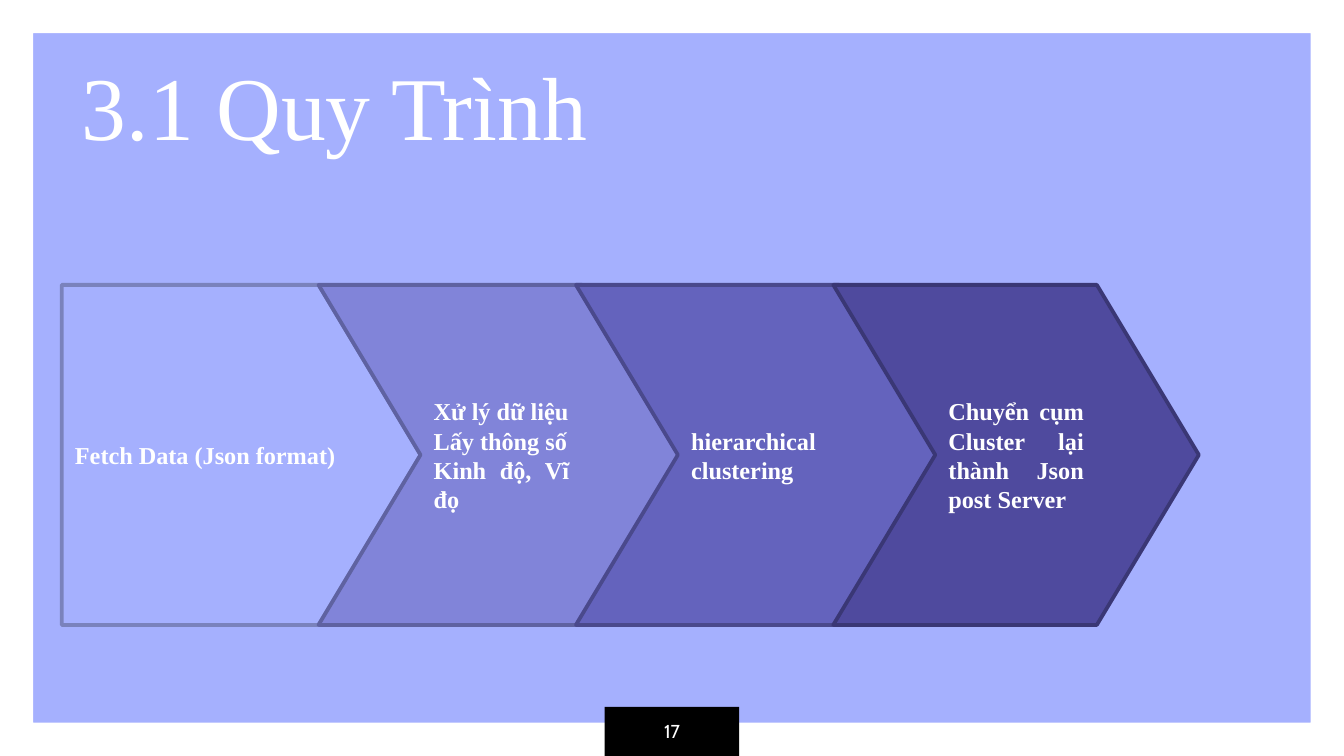
from dataclasses import dataclass

from lxml.etree import SubElement
from pptx import Presentation
from pptx.dml.color import RGBColor as Rgb
from pptx.enum.shapes import MSO_SHAPE as Kind
from pptx.enum.text import MSO_ANCHOR as Anchor, MSO_AUTO_SIZE as Fit, PP_ALIGN as Align
from pptx.oxml.ns import qn
from pptx.util import Pt

SCALE = 4572
INSET = 20
WIDE, HIGH = 2000, 1125
TOP, TALL, STEP = 424, 506, 383
SERIF = "Times New Roman"
COLORS = {
    "back": "A5B0FE", "white": "FFFFFF", "black": "000000",
    "fetch": "A5B0FE", "fetch_edge": "7A82BC",
    "prep": "8184D9", "prep_edge": "5F62A1",
    "group": "6463BD", "group_edge": "4A498C",
    "post": "4F4A9E", "post_edge": "3A3775",
}


@dataclass
class Box:
    left: int
    top: int
    width: int
    height: int

    def emu(self) -> list[int]:
        return [n * SCALE for n in (self.left, self.top, self.width, self.height)]


@dataclass
class Step:
    kind: int
    left: int
    width: int
    adj: float
    color: str
    lines: list[str]


def apply(target, values: dict) -> None:
    for name, value in values.items():
        setattr(target, name, value)


def tint(name: str) -> Rgb:
    return Rgb.from_string(COLORS[name])


def write(shape, lines: list[str], align: int, anchor: int, font: dict) -> None:
    frame = shape.text_frame
    sides = ("left", "top", "right", "bottom")
    apply(frame, {f"margin_{side}": INSET * SCALE for side in sides})
    apply(frame, {"word_wrap": True, "auto_size": Fit.NONE, "vertical_anchor": anchor})
    for i, line in enumerate(lines):
        para = frame.paragraphs[0] if i == 0 else frame.add_paragraph()
        para.alignment = align
        run = para.add_run()
        run.text = line
        apply(run.font, font)
        run.font.color.rgb = tint("white")


def draw(slide, kind: int, box: Box, color: str, adj: float | None = None):
    shape = slide.shapes.add_shape(kind, *box.emu())
    shape.shadow.inherit = False
    shape.fill.solid()
    shape.fill.fore_color.rgb = tint(color)
    shape.line.fill.background()
    if adj is not None:
        shape.adjustments[0] = adj
    return shape


def draw_step(slide, step: Step) -> None:
    box = Box(step.left, TOP, step.width, TALL)
    shape = draw(slide, step.kind, box, step.color, step.adj)
    shape.line.color.rgb = tint(step.color + "_edge")
    shape.line.width = Pt(2)
    SubElement(shape.line._get_or_add_ln(), qn("a:round"))
    font = {"name": SERIF, "size": Pt(13), "bold": True}
    write(shape, step.lines, Align.JUSTIFY, Anchor.MIDDLE, font)


def main() -> None:
    deck = Presentation()
    apply(deck, {"slide_width": WIDE * SCALE, "slide_height": HIGH * SCALE})
    slide = deck.slides.add_slide(deck.slide_layouts[5])
    back = slide.background.fill
    back.solid()
    back.fore_color.rgb = tint("back")

    title = slide.shapes.title
    spot = Box(60, 60, 876, 196).emu()
    apply(title, dict(zip(("left", "top", "width", "height"), spot)))
    write(title, ["3.1 Quy Trình"], Align.CENTER, Anchor.BOTTOM,
          {"name": SERIF, "size": Pt(48)})

    draw(slide, Kind.FRAME, Box(0, 0, WIDE, HIGH), "white", 0.044)
    badge = draw(slide, Kind.RECTANGLE, Box(900, 1052, 200, 73), "black")
    write(badge, ["17"], Align.CENTER, Anchor.MIDDLE,
          {"name": "Cabin", "size": Pt(10)})

    draw_step(slide, Step(Kind.PENTAGON, 92, 534, 0.3, "fetch",
                          ["Fetch Data (Json format)"]))
    parts = [
        ("prep", ["Xử lý dữ liệu", "Lấy thông số", "Kinh độ, Vĩ đọ"]),
        ("group", ["hierarchical clustering"]),
        ("post", ["Chuyển cụm Cluster lại thành Json post Server"]),
    ]
    for i, (color, lines) in enumerate(parts):
        left = 474 + i * STEP
        draw_step(slide, Step(Kind.CHEVRON, left, 544, 0.3, color, lines))

    deck.save("out.pptx")


if __name__ == "__main__":
    main()
